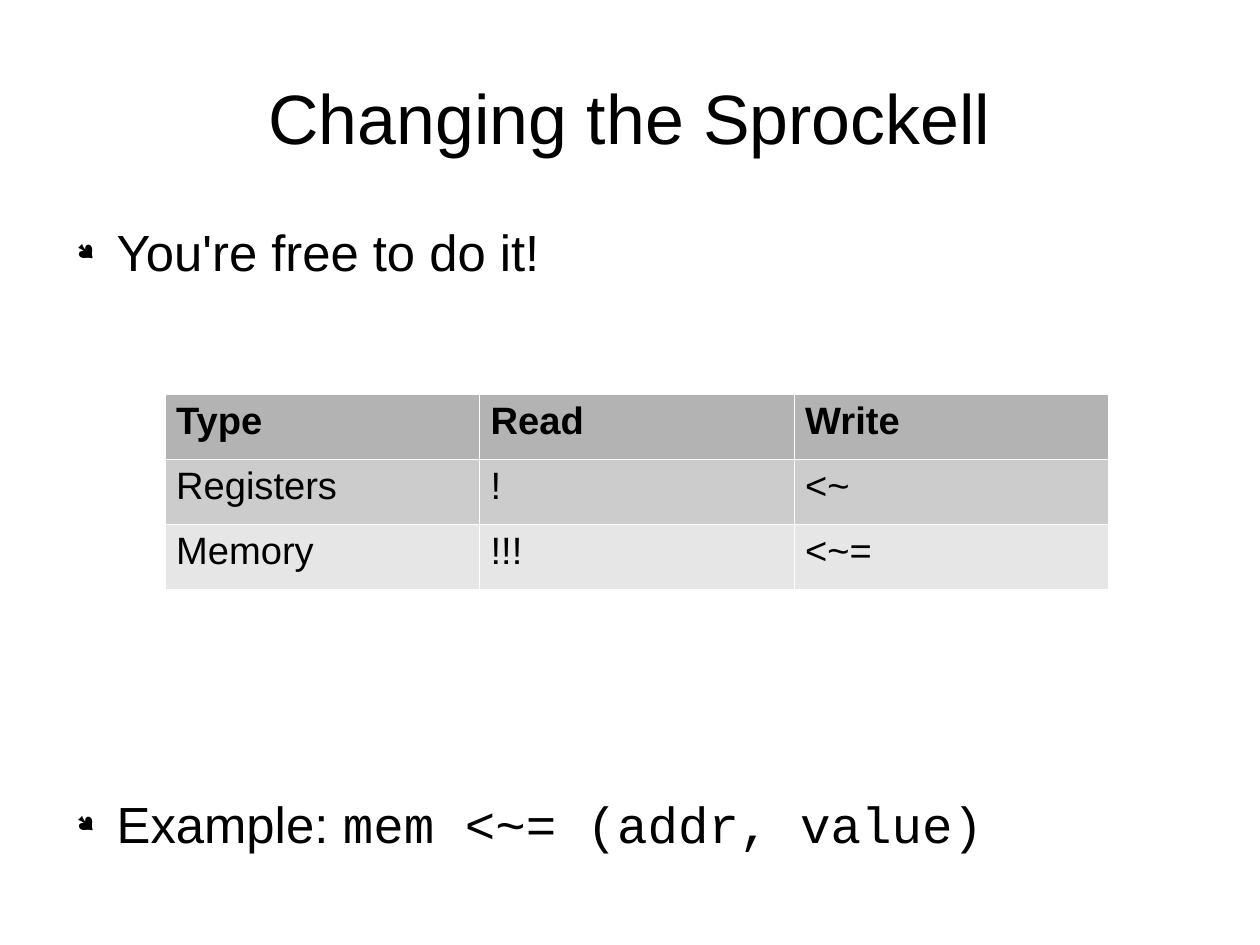
from dataclasses import dataclass

from lxml.etree import SubElement
from pptx import Presentation
from pptx.dml.color import RGBColor
from pptx.enum.text import MSO_ANCHOR, MSO_AUTO_SIZE, PP_ALIGN
from pptx.oxml.ns import qn
from pptx.util import Cm, Inches, Pt

BLACK = RGBColor(0x00, 0x00, 0x00)
WHITE = RGBColor(0xFF, 0xFF, 0xFF)
HEADER_GREY = RGBColor(0xB3, 0xB3, 0xB3)
MID_GREY = RGBColor(0xCC, 0xCC, 0xCC)
LIGHT_GREY = RGBColor(0xE6, 0xE6, 0xE6)
SLIDE_WIDTH, SLIDE_HEIGHT = Cm(28), Cm(21)


@dataclass(frozen=True)
class Area:
    left: float
    top: float
    width: float
    height: float

    def lengths(self) -> tuple[int, int, int, int]:
        return (
            round(self.left * SLIDE_WIDTH / 100),
            round(self.top * SLIDE_HEIGHT / 100),
            round(self.width * SLIDE_WIDTH / 100),
            round(self.height * SLIDE_HEIGHT / 100),
        )


@dataclass(frozen=True)
class OperatorRow:
    texts: tuple[str, str, str]
    fill: RGBColor
    bold: bool = False


@dataclass(frozen=True)
class Point:
    runs: tuple[tuple[str, str], ...]
    space_before: float = 0


TITLE_AREA = Area(5, 4, 90, 16.7)
POINTS_AREA = Area(5, 23.4, 90, 58)
OPERATORS_AREA = Area(13.07, 41.7, 74.9, 20.6)

POINTS = (
    Point((("You're free to do it!", "Arial"),)),
    Point((("Example: ", "Arial"), ("mem <~= (addr, value)", "Courier New")), 321.7),
)
OPERATORS = (
    OperatorRow(("Type", "Read", "Write"), HEADER_GREY, bold=True),
    OperatorRow(("Registers", "!", "<~"), MID_GREY),
    OperatorRow(("Memory", "!!!", "<~="), LIGHT_GREY),
)


def add_text(paragraph, text: str, *, size: float, font: str = "Arial", bold: bool = False) -> None:
    run = paragraph.add_run()
    run.text = text
    run.font.name = font
    run.font.size = Pt(size)
    run.font.bold = bold
    run.font.color.rgb = BLACK


def clear_margins(frame) -> None:
    frame.margin_left = frame.margin_right = frame.margin_top = frame.margin_bottom = 0
    frame.word_wrap = True
    frame.auto_size = MSO_AUTO_SIZE.NONE


def add_bullet(paragraph) -> None:
    properties = paragraph._p.get_or_add_pPr()
    properties.set("marL", str(Inches(0.47)))
    properties.set("indent", str(Inches(-0.35)))
    colour = SubElement(properties, qn("a:buClr"))
    SubElement(colour, qn("a:srgbClr"), val=str(BLACK))
    SubElement(properties, qn("a:buSzPct"), val="45000")
    SubElement(properties, qn("a:buFont"), typeface="Wingdings", charset="2")
    SubElement(properties, qn("a:buChar"), char="●")


def add_borders(cell) -> None:
    properties = cell._tc.get_or_add_tcPr()
    for index, side in enumerate(("lnL", "lnR", "lnT", "lnB")):
        border = properties.makeelement(qn(f"a:{side}"), {"w": str(Pt(0.06))})
        fill = SubElement(border, qn("a:solidFill"))
        SubElement(fill, qn("a:srgbClr"), val=str(WHITE))
        properties.insert(index, border)


def add_title(slide) -> None:
    title = slide.shapes.title
    title.left, title.top, title.width, title.height = TITLE_AREA.lengths()
    frame = title.text_frame
    clear_margins(frame)
    frame.vertical_anchor = MSO_ANCHOR.MIDDLE
    heading = frame.paragraphs[0]
    heading.alignment = PP_ALIGN.CENTER
    add_text(heading, "Changing the Sprockell", size=44)


def add_points(slide) -> None:
    frame = slide.shapes.add_textbox(*POINTS_AREA.lengths()).text_frame
    clear_margins(frame)
    for index, point in enumerate(POINTS):
        paragraph = frame.add_paragraph() if index else frame.paragraphs[0]
        add_bullet(paragraph)
        if point.space_before:
            paragraph.space_before = Pt(point.space_before)
        for text, font in point.runs:
            add_text(paragraph, text, size=32, font=font)


def add_operators(slide) -> None:
    column_count = len(OPERATORS[0].texts)
    operators = slide.shapes.add_table(
        len(OPERATORS), column_count, *OPERATORS_AREA.lengths()
    ).table
    operators.horz_banding = False
    for row_index, row in enumerate(OPERATORS):
        for column_index, text in enumerate(row.texts):
            cell = operators.cell(row_index, column_index)
            cell.fill.solid()
            cell.fill.fore_color.rgb = row.fill
            add_borders(cell)
            add_text(cell.text_frame.paragraphs[0], text, size=24, bold=row.bold)


def main() -> None:
    presentation = Presentation()
    presentation.slide_width, presentation.slide_height = SLIDE_WIDTH, SLIDE_HEIGHT
    slide = presentation.slides.add_slide(presentation.slide_layouts.get_by_name("Title Only"))
    slide.background.fill.solid()
    slide.background.fill.fore_color.rgb = WHITE
    add_title(slide)
    add_points(slide)
    add_operators(slide)
    presentation.save("out.pptx")


if __name__ == "__main__":
    main()
